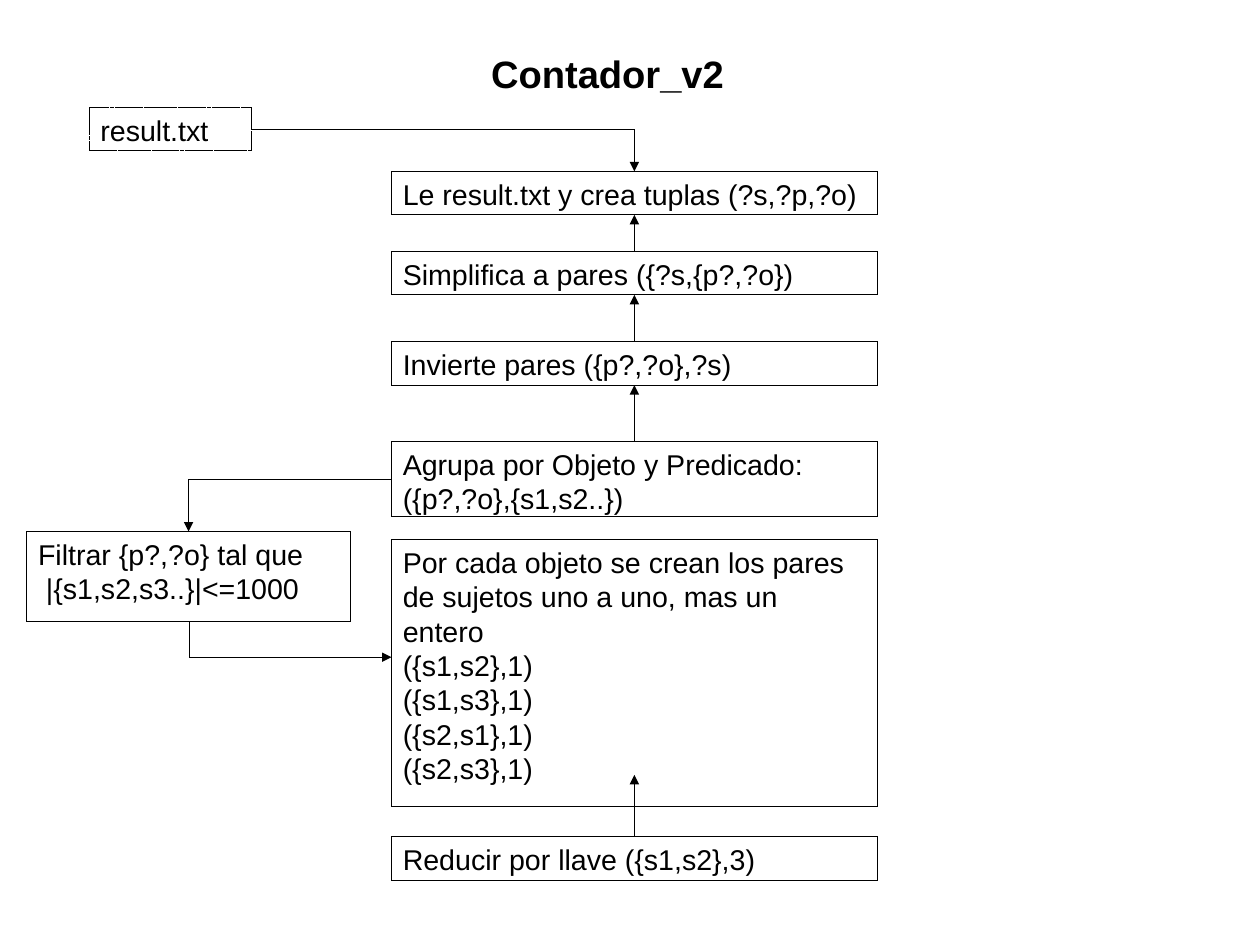
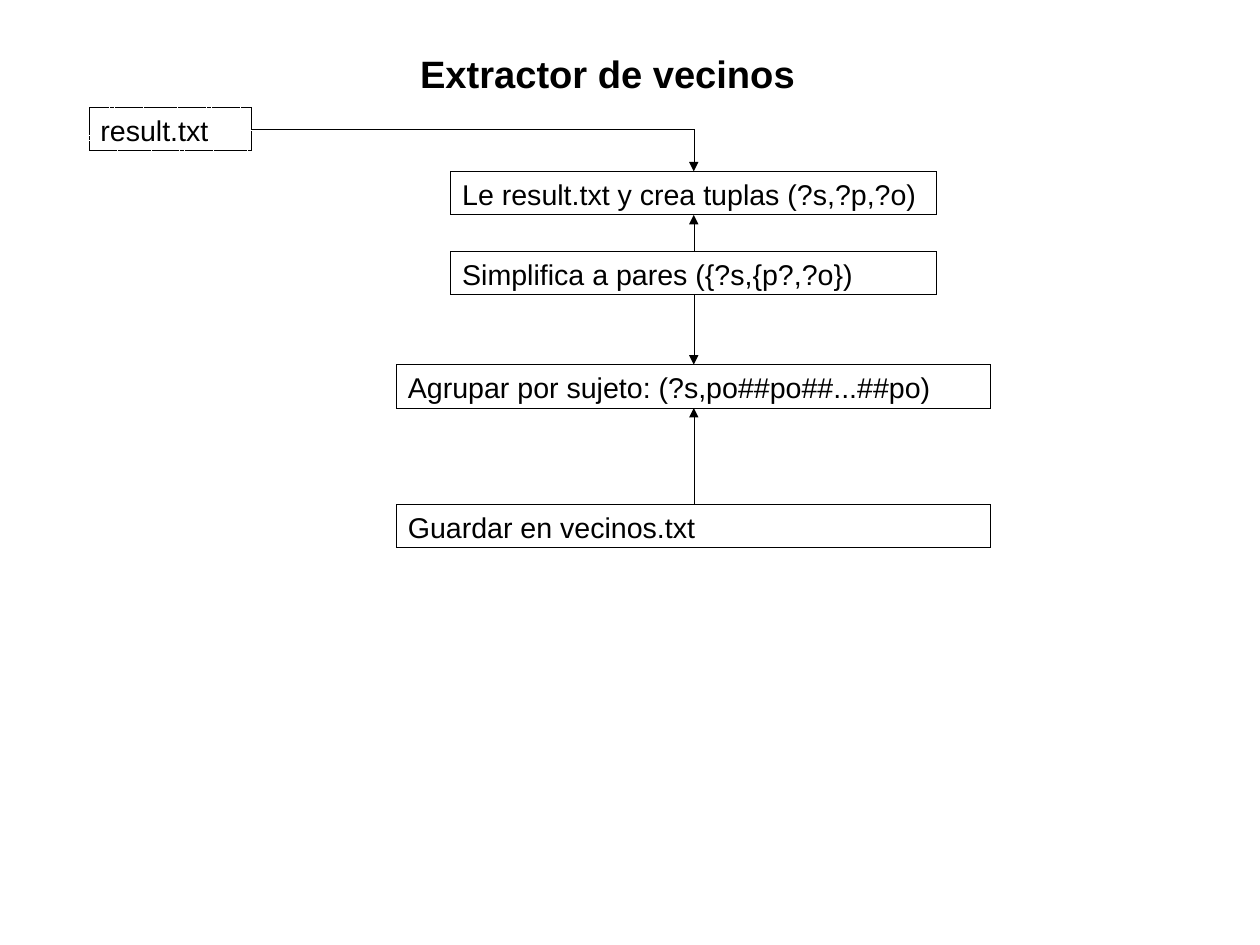
"""Two flow diagrams: a pair counter and a neighbour extractor."""
from lxml import etree
from pptx import Presentation
from pptx.dml.color import RGBColor
from pptx.enum.dml import MSO_LINE
from pptx.enum.shapes import MSO_CONNECTOR, MSO_SHAPE
from pptx.enum.text import MSO_ANCHOR, PP_ALIGN
from pptx.oxml.ns import qn
from pptx.util import Cm, Inches, Pt

RECTANGLE = MSO_SHAPE.RECTANGLE
STRAIGHT, ELBOW = MSO_CONNECTOR.STRAIGHT, MSO_CONNECTOR.ELBOW
DOTTED = MSO_LINE.SQUARE_DOT
TOP_ANCHOR = MSO_ANCHOR.TOP
LEFT_ALIGN, CENTER_ALIGN = PP_ALIGN.LEFT, PP_ALIGN.CENTER

BLACK = RGBColor(0, 0, 0)
FONT = "Arial"
BODY_SIZE, TITLE_SIZE = 18, 24
SLIDE_WIDTH, SLIDE_HEIGHT = Cm(28), Cm(21)
TITLE_AREA = (3.11, 0.39, 4.41, 0.47)
ROW = 0.38
STEP_WIDTH, WIDE_STEP = 4.25, 5.2
TOP, LEFT, BOTTOM, RIGHT = range(4)

INPUT = ("result.txt", 1.49, 0.94, 1.42, ROW)
READ = "Le result.txt y crea tuplas (?s,?p,?o)"
SIMPLIFY = "Simplifica a pares ({?s,{p?,?o})"
PAIRS = "\n".join([
    "Por cada objeto se crean los pares de sujetos uno a uno, mas un entero",
    "({s1,s2},1)", "({s1,s3},1)", "({s2,s1},1)", "({s2,s3},1)"])

DIAGRAMS = [
    {
        "title": "Contador_v2",
        "boxes": {
            "input": INPUT,
            "read": (READ, 5.55, 1.5, STEP_WIDTH, ROW),
            "simplify": (SIMPLIFY, 5.55, 2.2, STEP_WIDTH, ROW),
            "invert": ("Invierte pares ({p?,?o},?s)", 5.55, 2.99, STEP_WIDTH, ROW),
            "group": ("Agrupa por Objeto y Predicado: ({p?,?o},{s1,s2..})",
                      5.55, 3.86, STEP_WIDTH, 0.66),
            "filter": ("Filtrar {p?,?o} tal que\n |{s1,s2,s3..}|<=1000",
                       1.65, 4.65, 2.83, 0.79),
            "pairs": (PAIRS, 5.55, 4.72, STEP_WIDTH, 2.34),
            "reduce": ("Reducir por llave ({s1,s2},3)", 5.55, 7.32, STEP_WIDTH, ROW),
        },
        "arrows": [
            ("input", RIGHT, "read", TOP, 0),
            ("simplify", TOP, "read", BOTTOM, 0),
            ("invert", TOP, "simplify", BOTTOM, 0),
            ("group", TOP, "invert", BOTTOM, 0),
            ("group", LEFT, "filter", TOP, 0),
            ("filter", BOTTOM, "pairs", LEFT, 0.14),
            ("reduce", TOP, "pairs", BOTTOM, 0.28),
        ],
    },
    {
        "title": "Extractor de vecinos",
        "boxes": {
            "input": INPUT,
            "read": (READ, 6.07, 1.5, STEP_WIDTH, ROW),
            "simplify": (SIMPLIFY, 6.07, 2.2, STEP_WIDTH, ROW),
            "group": ("Agrupar por sujeto: (?s,po##po##...##po)",
                      6.07, 3.19, WIDE_STEP, ROW),
            "save": ("Guardar en vecinos.txt", 6.07, 4.41, WIDE_STEP, ROW),
        },
        "arrows": [
            ("input", RIGHT, "read", TOP, 0),
            ("simplify", TOP, "read", BOTTOM, 0),
            ("simplify", BOTTOM, "group", TOP, 0),
            ("save", TOP, "group", BOTTOM, 0),
        ],
    },
]


def write(shape, text, size, align, bold=False):
    frame = shape.text_frame
    frame.word_wrap = True
    frame.vertical_anchor = TOP_ANCHOR
    frame.text = text
    for paragraph in frame.paragraphs:
        paragraph.alignment = align
        for run in paragraph.runs:
            run.font.name, run.font.size = FONT, Pt(size)
            run.font.bold = bold
            run.font.color.rgb = BLACK


def outline(shape):
    """Draw a hairline; the width is written even though it is zero."""
    shape.line.color.rgb = BLACK
    hairline = shape._element.spPr.find(qn("a:ln"))
    hairline.set("w", "0")
    return hairline


def add_box(slide, text, centre, top, width, height):
    box = slide.shapes.add_shape(
        RECTANGLE, *map(Inches, (centre - width / 2, top, width, height)))
    box.shadow.inherit = False
    box.fill.background()
    outline(box)
    write(box, text, BODY_SIZE, LEFT_ALIGN)
    return box


def site(box, side):
    middle_x, middle_y = box.left + box.width // 2, box.top + box.height // 2
    return {TOP: (middle_x, box.top), BOTTOM: (middle_x, box.top + box.height),
            LEFT: (box.left, middle_y), RIGHT: (box.left + box.width, middle_y)}[side]


def turn_down_then_right(arrow):
    """Rotate a one-bend connector so that its first leg is vertical."""
    across, down = arrow.width, arrow.height
    centre_x, centre_y = arrow.left + across // 2, arrow.top + down // 2
    arrow.left, arrow.top = centre_x - down // 2, centre_y - across // 2
    arrow.width, arrow.height = down, across
    frame = arrow._element.spPr.find(qn("a:xfrm"))
    frame.set("rot", "16200000")
    frame.set("flipH", "1")


def add_arrow(slide, start, start_side, end, end_side, shift):
    x1, y1 = site(start, start_side)
    x2, y2 = site(end, end_side)
    bent = start_side in (LEFT, RIGHT) or end_side in (LEFT, RIGHT)
    if not bent:
        x2 = x1
    arrow = slide.shapes.add_connector(
        ELBOW if bent else STRAIGHT, x1, y1, x2, y2 - Inches(shift))
    arrow.begin_connect(start, start_side)
    if not shift:
        arrow.end_connect(end, end_side)
    properties = arrow._element.spPr
    if bent:
        properties.find(qn("a:prstGeom")).set("prst", "bentConnector2")
        if start_side == BOTTOM:
            turn_down_then_right(arrow)
    etree.SubElement(outline(arrow), qn("a:tailEnd"), type="triangle")
    etree.SubElement(properties, qn("a:effectLst"))


def main():
    deck = Presentation()
    deck.slide_width, deck.slide_height = SLIDE_WIDTH, SLIDE_HEIGHT
    for diagram in DIAGRAMS:
        slide = deck.slides.add_slide(deck.slide_layouts[6])
        title = slide.shapes.add_textbox(*map(Inches, TITLE_AREA))
        write(title, diagram["title"], TITLE_SIZE, CENTER_ALIGN, bold=True)
        boxes = {key: add_box(slide, *box) for key, box in diagram["boxes"].items()}
        boxes["input"].line.dash_style = DOTTED
        for start, start_side, end, end_side, shift in diagram["arrows"]:
            add_arrow(slide, boxes[start], start_side, boxes[end], end_side, shift)
    deck.save("out.pptx")


if __name__ == "__main__":
    main()
